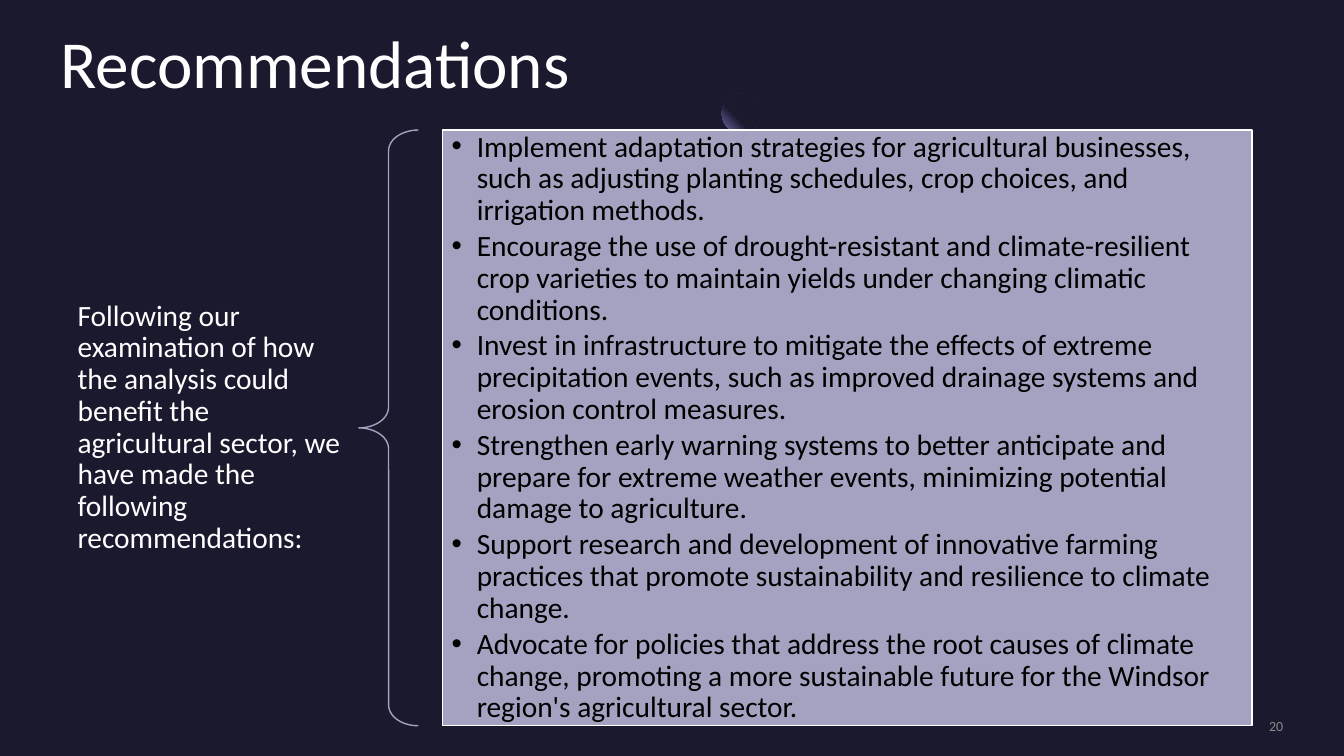
from dataclasses import dataclass

from lxml import etree
from pptx import Presentation
from pptx.dml.color import RGBColor
from pptx.enum.shapes import MSO_SHAPE
from pptx.enum.text import MSO_ANCHOR, PP_ALIGN
from pptx.oxml.ns import qn
from pptx.util import Pt


@dataclass(frozen=True)
class Theme:
    font: str = "Calibri"
    night: str = "1B192E"
    violet: str = "7771B2"
    lavender: str = "A3A3C1"
    white: str = "FFFFFF"
    black: str = "000000"
    grey: str = "A6A6A6"
    title_size: float = 48
    body_size: float = 21
    number_size: float = 10


class SlideBuilder:
    def __init__(self, slide, theme):
        self.slide = slide
        self.theme = theme
        background = slide.background.fill
        background.solid()
        background.fore_color.rgb = RGBColor.from_string(theme.night)

    def shape(self, preset, box, fill=None, line=None):
        shape = self.slide.shapes.add_shape(preset, *map(Pt, box))
        shape.shadow.inherit = False
        if fill:
            shape.fill.solid()
            shape.fill.fore_color.rgb = RGBColor.from_string(fill)
        else:
            shape.fill.background()
        if line:
            shape.line.color.rgb = RGBColor.from_string(line)
            shape.line.width = Pt(1)
        else:
            shape.line.fill.background()
        return shape

    def orb(self, box):
        """Add a circle lit from its lower left by a radial gradient."""
        orb = self.shape(MSO_SHAPE.OVAL, box)
        orb.fill.gradient()
        stops = ((0.6, self.theme.night), (1, self.theme.violet))
        for stop, (position, color) in zip(orb.fill.gradient_stops, stops):
            stop.position = position
            stop.color.rgb = RGBColor.from_string(color)
        gradient = orb.element.spPr.find(qn("a:gradFill"))
        linear = gradient.find(qn("a:lin"))
        radial = etree.Element(qn("a:path"), {"path": "circle"})
        etree.SubElement(radial, qn("a:fillToRect"), l="100000", b="100000")
        gradient.replace(linear, radial)

    def text_box(self, box, text, **style):
        holder = self.slide.shapes.add_textbox(*map(Pt, box))
        self.set_text(holder, [text], **style)
        return holder

    def set_text(self, holder, texts, size, color, insets=(0, 0), anchor=MSO_ANCHOR.MIDDLE,
                 align=PP_ALIGN.LEFT, line_spacing=0.9, space_after=0, bulleted=False):
        """Fill a shape with paragraphs; insets are horizontal, then vertical."""
        frame = holder.text_frame
        frame.word_wrap = True
        frame.vertical_anchor = anchor
        frame.margin_left = frame.margin_right = Pt(insets[0])
        frame.margin_top = frame.margin_bottom = Pt(insets[1])
        for index, text in enumerate(texts):
            paragraph = frame.add_paragraph() if index else frame.paragraphs[0]
            paragraph.text = text
            paragraph.alignment = align
            paragraph.line_spacing = line_spacing
            paragraph.space_after = Pt(space_after)
            if bulleted:
                self.add_bullet(paragraph)
            paragraph.font.name = self.theme.font
            paragraph.font.size = Pt(size)
            paragraph.font.color.rgb = RGBColor.from_string(color)

    @staticmethod
    def add_bullet(paragraph, indent=Pt(18)):
        properties = paragraph._p.get_or_add_pPr()
        properties.set("marL", str(indent))
        properties.set("indent", str(-indent))
        etree.SubElement(properties, qn("a:buFont"), typeface="Arial")
        etree.SubElement(properties, qn("a:buChar"), char="•")

    @staticmethod
    def set_opacity(holder, percent):
        for color in holder.text_frame._txBody.iter(qn("a:srgbClr")):
            etree.SubElement(color, qn("a:alpha"), val=str(percent * 1000))


INTRODUCTION = (
    "Following our examination of how the analysis could benefit the agricultural sector, "
    "we have made the following recommendations:"
)
RECOMMENDATIONS = [
    "Implement adaptation strategies for agricultural businesses, such as adjusting "
    "planting schedules, crop choices, and irrigation methods.",
    "Encourage the use of drought-resistant and climate-resilient crop varieties to "
    "maintain yields under changing climatic conditions.",
    "Invest in infrastructure to mitigate the effects of extreme precipitation events, "
    "such as improved drainage systems and erosion control measures.",
    "Strengthen early warning systems to better anticipate and prepare for extreme "
    "weather events, minimizing potential damage to agriculture.",
    "Support research and development of innovative farming practices that promote "
    "sustainability and resilience to climate change.",
    "Advocate for policies that address the root causes of climate change, promoting a "
    "more sustainable future for the Windsor region's agricultural sector.",
]
LIST_TOP, LIST_HEIGHT = 92.9, 425.5


def main():
    theme = Theme()
    presentation = Presentation()
    presentation.slide_width, presentation.slide_height = Pt(960), Pt(540)
    slide = presentation.slides.add_slide(presentation.slide_layouts[6])
    builder = SlideBuilder(slide, theme)

    builder.orb((515.5, 67, 28, 28))
    builder.text_box((43.2, 15.8, 431.3, 57.6), "Recommendations", size=theme.title_size,
                     color=theme.white, anchor=MSO_ANCHOR.BOTTOM)
    builder.text_box((43.9, 123.1, 212.4, 365), INTRODUCTION, size=theme.body_size,
                     color=theme.white, insets=(11.5, 4.3))

    brace = builder.shape(MSO_SHAPE.LEFT_BRACE, (256.3, LIST_TOP, 42.5, LIST_HEIGHT),
                          line=theme.lavender)
    brace.adjustments[0] = 0.35
    panel = builder.shape(MSO_SHAPE.RECTANGLE, (316.1, LIST_TOP, 578.2, LIST_HEIGHT),
                          fill=theme.lavender, line=theme.white)
    builder.set_text(panel, RECOMMENDATIONS, size=theme.body_size, color=theme.black,
                     insets=(6.5, 6.5), space_after=3, bulleted=True)

    number = builder.text_box((783.4, 512.6, 133.2, 12.2), "20", size=theme.number_size,
                              color=theme.grey, align=PP_ALIGN.RIGHT, line_spacing=1)
    builder.set_opacity(number, 80)

    presentation.save("out.pptx")


if __name__ == "__main__":
    main()
